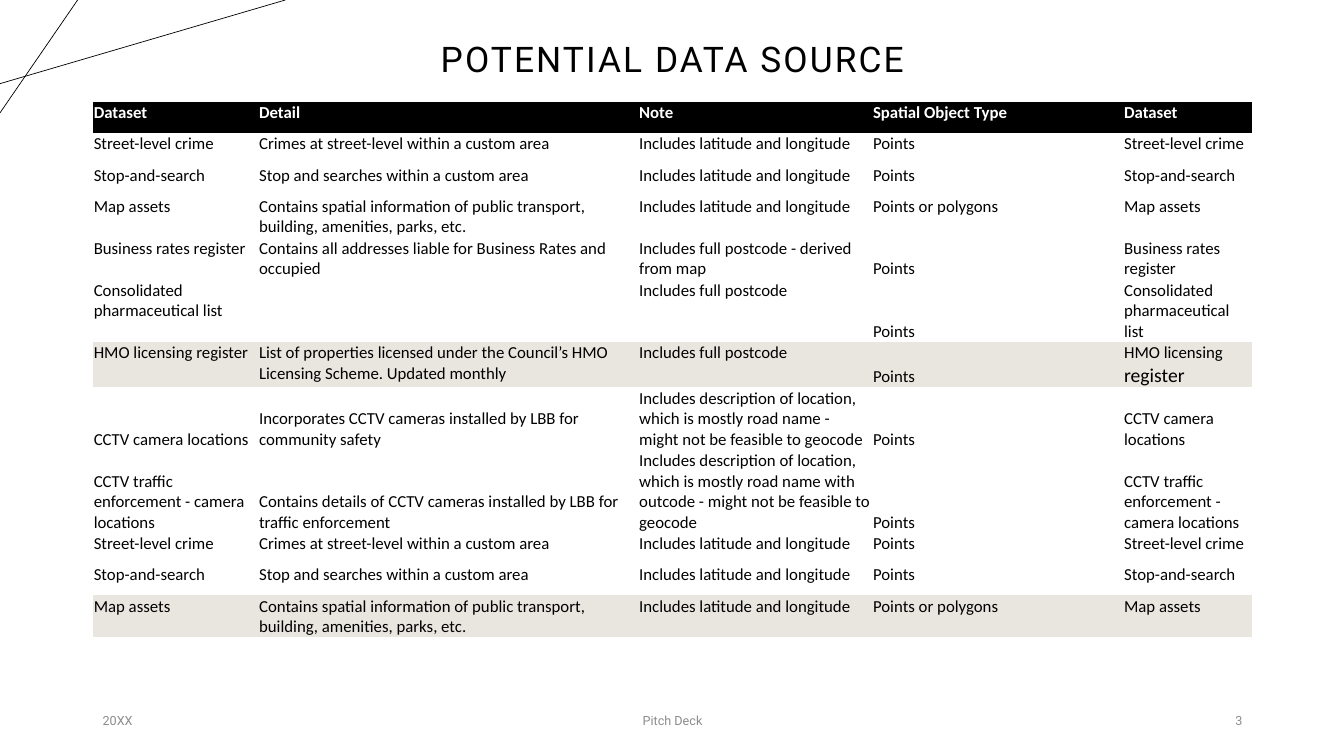
from pptx import Presentation
from pptx.dml.color import RGBColor
from pptx.enum.shapes import MSO_CONNECTOR
from pptx.enum.text import MSO_ANCHOR, MSO_AUTO_SIZE, PP_ALIGN
from pptx.oxml.ns import qn
from pptx.util import Inches, Pt
from lxml.etree import SubElement

BLACK = RGBColor(0x00, 0x00, 0x00)
WHITE = RGBColor(0xFF, 0xFF, 0xFF)
SAND = RGBColor(0xE9, 0xE6, 0xDF)
GREY = RGBColor(0x8C, 0x8C, 0x8C)

NO_STYLE = "{2D5ABB26-0587-4C30-8999-92F81FD0307C}"
COLUMN_WIDTHS = (1.64, 3.77, 2.32, 2.49, 1.28)
ROW_HEIGHT = 0.31
TYPE_COLUMN = 3

LAT_LONG = "Includes latitude and longitude"
HEADER = ("Dataset", "Detail", "Note", "Spatial Object Type")
OPEN_DATA = [
    ("Street-level crime", "Crimes at street-level within a custom area", LAT_LONG, "Points"),
    ("Stop-and-search", "Stop and searches within a custom area", LAT_LONG, "Points"),
    ("Map assets", "Contains spatial information of public transport, building, amenities, parks, etc.",
     LAT_LONG, "Points or polygons"),
]
REGISTERS = [
    ("Business rates register", "Contains all addresses liable for Business Rates and occupied",
     "Includes full postcode - derived from map", "Points"),
    ("Consolidated pharmaceutical list", "", "Includes full postcode", "Points"),
    ("HMO licensing register",
     "List of properties licensed under the Council’s HMO Licensing Scheme. Updated monthly",
     "Includes full postcode", "Points"),
]
CAMERAS = [
    ("CCTV camera locations", "Incorporates CCTV cameras installed by LBB for community safety",
     "Includes description of location, which is mostly road name - might not be feasible to geocode",
     "Points"),
    ("CCTV traffic enforcement - camera locations",
     "Contains details of CCTV cameras installed by LBB for traffic enforcement",
     "Includes description of location, which is mostly road name with outcode"
     " - might not be feasible to geocode", "Points"),
]
DATASETS = [HEADER] + OPEN_DATA + REGISTERS + CAMERAS + OPEN_DATA
SHADED_ROWS = (6, 11)
ENLARGED_ENDING = (6, 4)


def add_run(paragraph, text, size, font, color, bold=False):
    run = paragraph.add_run()
    run.text = text
    run.font.size = Pt(size)
    run.font.name = font
    run.font.color.rgb = color
    run.font.bold = bold
    return run


def add_corner_lines(slide):
    for start_x, start_y, end_x, end_y in ((0, 0.83, 2.83, 0), (0.77, 0, 0, 1.12)):
        line = slide.shapes.add_connector(
            MSO_CONNECTOR.STRAIGHT, Inches(start_x), Inches(start_y), Inches(end_x), Inches(end_y))
        line.line.color.rgb = BLACK
        line.line.width = Pt(0.5)
        SubElement(line._element.spPr, qn("a:effectLst"))


def add_title(slide, left, top, width, height):
    title = slide.shapes.title
    title.left, title.top = Inches(left), Inches(top)
    title.width, title.height = Inches(width), Inches(height)
    frame = title.text_frame
    frame.auto_size = MSO_AUTO_SIZE.NONE
    frame.vertical_anchor = MSO_ANCHOR.MIDDLE
    heading = frame.paragraphs[0]
    heading.alignment = PP_ALIGN.CENTER
    heading.line_spacing = 0.9
    run = add_run(heading, "POTENTIAL DATA SOURCE", 25.2, "Roboto", BLACK)
    run.font._element.set("spc", "150")


def cell_fill(row):
    if row == 0:
        return BLACK
    return SAND if row in SHADED_ROWS else None


def cell_anchor(row, column):
    dataset = DATASETS[row]
    low = dataset in CAMERAS or (dataset in REGISTERS and column == TYPE_COLUMN)
    return MSO_ANCHOR.BOTTOM if low else MSO_ANCHOR.TOP


def write_cell(cell, row, column, text):
    cell.margin_left = cell.margin_right = cell.margin_top = Inches(0.01)
    cell.margin_bottom = 0
    cell.vertical_anchor = cell_anchor(row, column)
    fill = cell_fill(row)
    if fill is None:
        cell.fill.background()
    else:
        cell.fill.solid()
        cell.fill.fore_color.rgb = fill
    if not text:
        return
    pieces = [(text, 12)]
    if (row, column) == ENLARGED_ENDING:
        opening, ending = text.rsplit(" ", 1)
        pieces = [(opening + " ", 12), (ending, 14)]
    color = WHITE if row == 0 else BLACK
    for piece, size in pieces:
        add_run(cell.text_frame.paragraphs[0], piece, size, "Calibri", color, row == 0)


def add_dataset_table(slide, left, top, width):
    table = slide.shapes.add_table(
        len(DATASETS), len(COLUMN_WIDTHS), Inches(left), Inches(top),
        Inches(width), Inches(ROW_HEIGHT * len(DATASETS))).table
    table._tbl.tblPr.find(qn("a:tableStyleId")).text = NO_STYLE
    table.horz_banding = False
    for column, column_width in zip(table.columns, COLUMN_WIDTHS):
        column.width = Inches(column_width)
    for row, dataset in enumerate(DATASETS):
        table.rows[row].height = Inches(ROW_HEIGHT)
        for column, text in enumerate(dataset + dataset[:1]):
            write_cell(table.cell(row, column), row, column, text)


def add_footer(slide, left, top, width, height):
    parts = (
        ("20XX", left, 3, PP_ALIGN.LEFT),
        ("Pitch Deck", left + (width - 4.5) / 2, 4.5, PP_ALIGN.CENTER),
        ("3", left + width - 3, 3, PP_ALIGN.RIGHT),
    )
    for text, part_left, part_width, alignment in parts:
        frame = slide.shapes.add_textbox(
            Inches(part_left), Inches(top), Inches(part_width), Inches(height)).text_frame
        frame.word_wrap = True
        frame.vertical_anchor = MSO_ANCHOR.MIDDLE
        frame.paragraphs[0].alignment = alignment
        add_run(frame.paragraphs[0], text, 9, "Roboto", GREY)


def main():
    deck = Presentation()
    deck.slide_width, deck.slide_height = Inches(13.33), Inches(7.5)
    slide = deck.slides.add_slide(deck.slide_layouts[5])
    add_corner_lines(slide)
    add_title(slide, 0.92, 0.36, 11.5, 0.49)
    add_dataset_table(slide, 0.92, 1.01, 11.5)
    add_footer(slide, 0.92, 6.95, 11.5, 0.4)
    deck.save("out.pptx")


if __name__ == "__main__":
    main()
